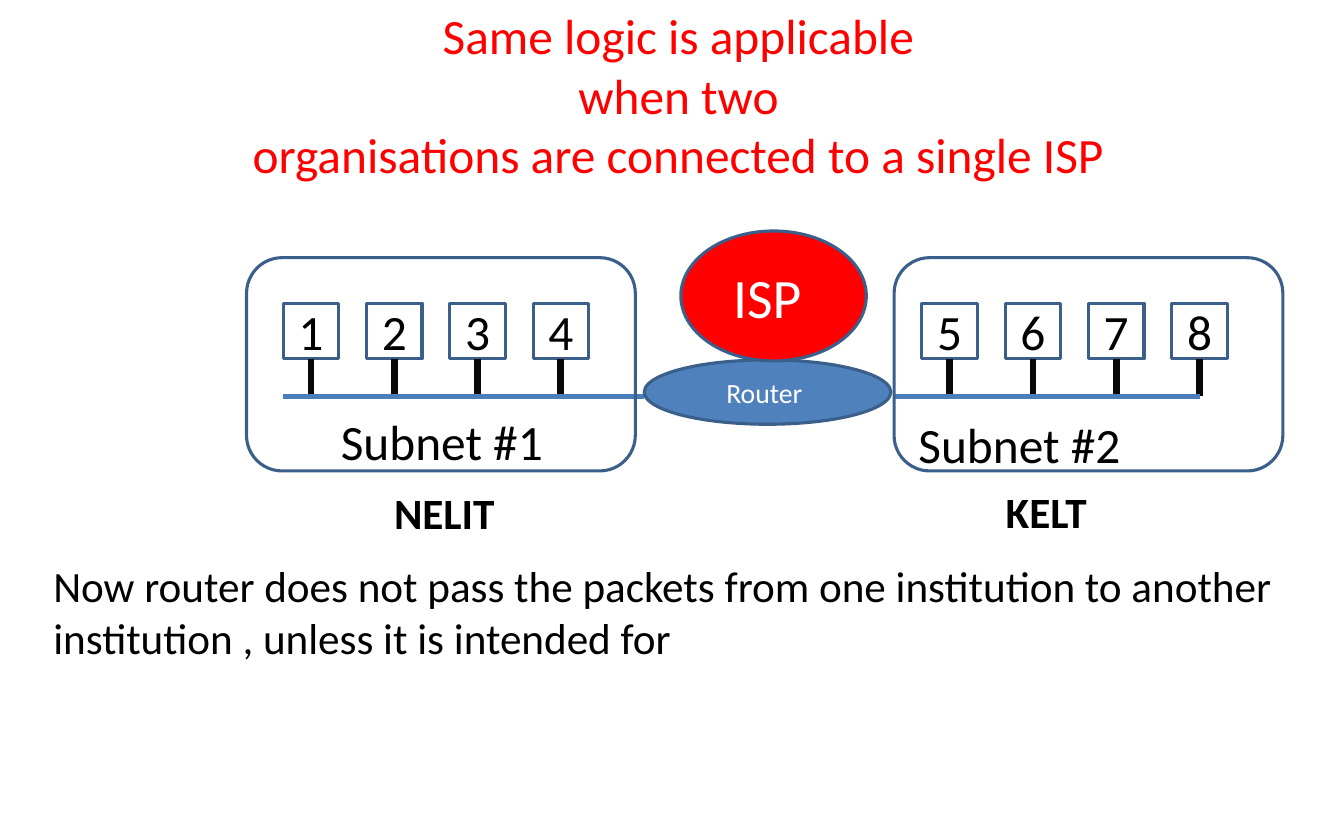
from lxml import etree
from pptx import Presentation
from pptx.dml.color import RGBColor
from pptx.enum.shapes import MSO_CONNECTOR, MSO_SHAPE
from pptx.enum.text import MSO_ANCHOR as Anchor, MSO_AUTO_SIZE, PP_ALIGN as Align
from pptx.oxml.ns import qn
from pptx.util import Inches, Pt

TITLE = "Same logic is applicable\nwhen two\norganisations are connected to a single ISP"
NOTE = ("Now router does not pass the packets from one institution to another "
        "institution , unless it is intended for")
COLORS = {"title": "FF0000", "text": "000000", "light": "FFFFFF", "outline": "3A5F8B",
          "bus": "4A7EBB", "stem": "080808", "router": "4F81BD", "isp": "FF0000"}
# Frame, first host, label and name positions are left edges; bus is (start, end).
SUBNETS = [
    {"label": "Subnet #1", "name": "NELIT", "hosts": "1234", "frame": 2.22, "first": 2.55,
     "bus": (2.55, 5.8), "label_at": (2.97, 3.65), "name_at": (3.25, 4.33)},
    {"label": "Subnet #2", "name": "KELT", "hosts": "5678", "frame": 8.05, "first": 8.3,
     "bus": (8.05, 10.8), "label_at": (8.17, 3.68), "name_at": (8.67, 4.32)},
]
HUBS = [("Router ", (5.8, 3.24, 2.22, 0.58), "router", 18),
        ("ISP ", (6.13, 2.08, 1.67, 1.17), "isp", 36)]
HOST, PITCH, HOST_TOP, BUS_Y = 0.5, 0.75, 2.73, 3.57
FRAME_TOP, FRAME_W, FRAME_H = 2.32, 3.5, 1.92


def rgb(name):
    """Return the named colour."""
    return RGBColor.from_string(COLORS[name])


def write(shape, text, size=32, color="text", bold=False, align=Align.CENTER, anchor=Anchor.TOP):
    """Fill a shape with formatted text, one paragraph per line."""
    frame = shape.text_frame
    frame.text = text
    frame.word_wrap = True
    frame.auto_size = MSO_AUTO_SIZE.NONE
    frame.vertical_anchor = anchor
    for paragraph in frame.paragraphs:
        paragraph.alignment = align
        paragraph.space_before = Pt(0)
        font = paragraph.runs[0].font
        font.name, font.size, font.bold = "Calibri", Pt(size), bold
        font.color.rgb = rgb(color)


def add_outline(kind, box, fill=None):
    """Add an outlined preset shape, hollow unless a fill is named."""
    shape = slide.shapes.add_shape(kind, *map(Inches, box))
    shape.shadow.inherit = False
    shape.line.color.rgb = rgb("outline")
    shape.line.width = Pt(2)
    if fill:
        shape.fill.solid()
        shape.fill.fore_color.rgb = rgb(fill)
    else:
        shape.fill.background()
    return shape


def add_wire(start, end, color, width):
    """Draw a straight line without a shadow."""
    wire = slide.shapes.add_connector(MSO_CONNECTOR.STRAIGHT, *map(Inches, start + end))
    wire.line.color.rgb = rgb(color)
    wire.line.width = Pt(width)
    etree.SubElement(wire._element.spPr, qn("a:effectLst"))


def add_label(box, text, **style):
    """Add a text box."""
    write(slide.shapes.add_textbox(*map(Inches, box)), text, **style)


def place(placeholder, box):
    """Move and size a placeholder."""
    placeholder.left, placeholder.top, placeholder.width, placeholder.height = map(Inches, box)


def draw_subnet(subnet):
    """Draw one organisation's hosts, bus, frame and captions."""
    for index, host in enumerate(subnet["hosts"]):
        left = subnet["first"] + index * PITCH
        center = left + HOST / 2
        box = add_outline(MSO_SHAPE.RECTANGLE, (left, HOST_TOP, HOST, HOST))
        write(box, host, anchor=Anchor.MIDDLE)
        add_wire((center, HOST_TOP + HOST), (center, BUS_Y), "stem", 4.5)
    start, end = subnet["bus"]
    add_wire((start, BUS_Y), (end, BUS_Y), "bus", 3)
    add_outline(MSO_SHAPE.ROUNDED_RECTANGLE, (subnet["frame"], FRAME_TOP, FRAME_W, FRAME_H))
    add_label(subnet["label_at"] + (2.63, 0.63), subnet["label"], align=Align.LEFT)
    add_label(subnet["name_at"] + (1.5, 0.6), subnet["name"], size=28, bold=True)


prs = Presentation()
prs.slide_width, prs.slide_height = Inches(12.1), Inches(7.5)
slide = prs.slides.add_slide(prs.slide_layouts[1])

title, note = slide.placeholders
place(title, (0.12, 0, 11.98, 1.7))
write(title, TITLE, color="title")
place(note, (0.38, 4.99, 11.38, 1.5))
write(note, NOTE, size=28, align=Align.LEFT)
note_format = note.text_frame.paragraphs[0]._p.get_or_add_pPr()
note_format.set("marL", "0")
note_format.set("indent", "0")
etree.SubElement(note_format, qn("a:buNone"))

for subnet in SUBNETS:
    draw_subnet(subnet)
for text, box, fill, size in HUBS:
    hub = add_outline(MSO_SHAPE.OVAL, box, fill)
    write(hub, text, size=size, color="light", anchor=Anchor.MIDDLE)

prs.save("out.pptx")
